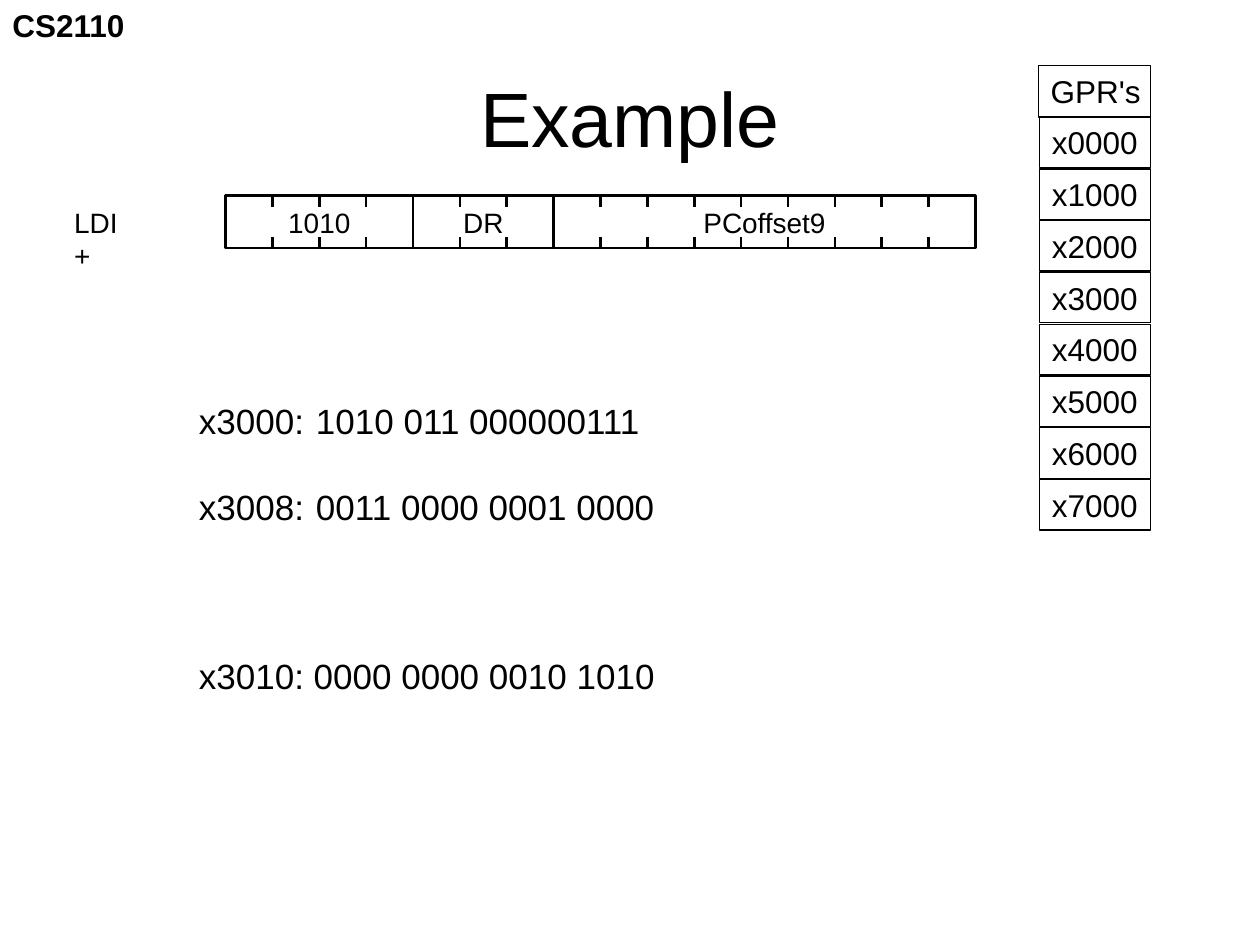
"""Build the LDI+ instruction example slide with its register column."""
from typing import Any, NamedTuple

from lxml.etree import SubElement
from pptx import Presentation
from pptx.dml.color import RGBColor
from pptx.enum.shapes import MSO_CONNECTOR as Connector, MSO_SHAPE as Preset
from pptx.enum.text import MSO_ANCHOR as Anchor, MSO_AUTO_SIZE as AutoSize, PP_ALIGN as Align
from pptx.oxml.ns import qn
from pptx.util import Inches, Pt

BLACK = "000000"
BIT_WIDTH = 0.372
FIELD_LEFT, FIELD_TOP, FIELD_HEIGHT = 1.79, 1.55, 0.42
TICK = 0.09
REGISTER_PITCH = 0.411


class Box(NamedTuple):
    left: float
    top: float
    width: float
    height: float


class Field(NamedTuple):
    label: str
    first_bit: int
    bits: int
    label_width: float


class MemoryLine(NamedTuple):
    text: str
    space_before: int


FIELDS = [
    Field("1010", 0, 4, 0.69),
    Field("PCoffset9", 7, 9, 1.17),
    Field("DR", 4, 3, 0.52),
]
MEMORY = [
    MemoryLine("x3000:\t1010 011 000000111", 0),
    MemoryLine("x3008:\t0011 0000 0001 0000", 25),
    MemoryLine("x3010: 0000 0000 0010 1010", 73),
]


def color(value: str) -> RGBColor:
    return RGBColor.from_string(value)


def apply(target: Any, values: dict[str, Any]) -> None:
    for name, value in values.items():
        setattr(target, name, value)


def write(paragraph: Any, text: str, size: int, align: Any = Align.LEFT, bold: bool = False) -> None:
    paragraph.alignment = align
    run = paragraph.add_run()
    run.text = text
    apply(run.font, {"name": "Arial", "size": Pt(size), "bold": bold})
    run.font.color.rgb = color(BLACK)


def add_text(shapes: Any, box: Box, text: str, size: int, **style: Any) -> Any:
    shape = shapes.add_textbox(*map(Inches, box))
    apply(shape.text_frame, {"word_wrap": False, "auto_size": AutoSize.SHAPE_TO_FIT_TEXT})
    write(shape.text_frame.paragraphs[0], text, size, **style)
    return shape


def add_outline(shapes: Any, box: Box, weight: float) -> Any:
    shape = shapes.add_shape(Preset.RECTANGLE, *map(Inches, box))
    shape.shadow.inherit = False
    shape.fill.background()
    shape.line.color.rgb = color(BLACK)
    shape.line.width = Pt(weight)
    return shape


def add_register(shapes: Any, box: Box, text: str, auto_size: Any) -> None:
    frame = add_outline(shapes, box, 0.75).text_frame
    apply(frame, {"word_wrap": False, "auto_size": auto_size, "vertical_anchor": Anchor.TOP})
    write(frame.paragraphs[0], text, 18)


def add_tick(shapes: Any, x: float, top: float) -> None:
    line = shapes.add_connector(Connector.STRAIGHT, *map(Inches, (x, top, x, top + TICK)))
    line.line.color.rgb = color(BLACK)
    line.line.width = Pt(1.5)
    SubElement(line._element.spPr, qn("a:effectLst"))


def add_field(shapes: Any, field: Field) -> None:
    left = FIELD_LEFT + field.first_bit * BIT_WIDTH
    width = field.bits * BIT_WIDTH
    add_outline(shapes, Box(left, FIELD_TOP, width, FIELD_HEIGHT), 1.5)
    for bit in range(1, field.bits):
        for top in (FIELD_TOP, FIELD_TOP + FIELD_HEIGHT - TICK):
            add_tick(shapes, left + bit * BIT_WIDTH, top)
    label_left = left + (width - field.label_width) / 2
    label_box = Box(label_left, 1.58, field.label_width, 0.37)
    add_text(shapes, label_box, field.label, 16, align=Align.CENTER)


def add_memory(shapes: Any, box: Box, lines: list[MemoryLine]) -> None:
    frame = shapes.add_textbox(*map(Inches, box)).text_frame
    frame.word_wrap = True
    for index, line in enumerate(lines):
        paragraph = frame.add_paragraph() if index else frame.paragraphs[0]
        write(paragraph, line.text, 20)
        paragraph.space_before = Pt(line.space_before)
        tabs = SubElement(paragraph._p.get_or_add_pPr(), qn("a:tabLst"))
        SubElement(tabs, qn("a:tab"), pos=str(Inches(0.93)), algn="l")


def main() -> None:
    presentation = Presentation()
    apply(presentation, {"slide_width": Inches(10), "slide_height": Inches(7.5)})
    slide = presentation.slides.add_slide(presentation.slide_layouts[6])
    shapes = slide.shapes

    add_text(shapes, Box(0, 0, 1.1, 0.4), "CS2110", 18, bold=True)
    title = add_text(shapes, Box(0.5, 0.3, 9, 1.25), "Example", 44, align=Align.CENTER)
    apply(title.text_frame, {"word_wrap": True, "auto_size": AutoSize.NONE,
                             "vertical_anchor": Anchor.MIDDLE})

    for number in range(8):
        box = Box(8.25, 0.93 + number * REGISTER_PITCH, 0.88, 0.4)
        add_register(shapes, box, f"x{number}000", AutoSize.SHAPE_TO_FIT_TEXT)
    add_register(shapes, Box(8.24, 0.52, 0.89, 0.41), "GPR's", AutoSize.NONE)

    add_memory(shapes, Box(1.48, 3.12, 4.43, 3.37), MEMORY)

    instruction = shapes.add_group_shape().shapes
    add_text(instruction, Box(0.49, 1.58, 0.67, 0.37), "LDI+", 16)
    for field in FIELDS:
        add_field(instruction, field)

    presentation.save("out.pptx")


if __name__ == "__main__":
    main()
